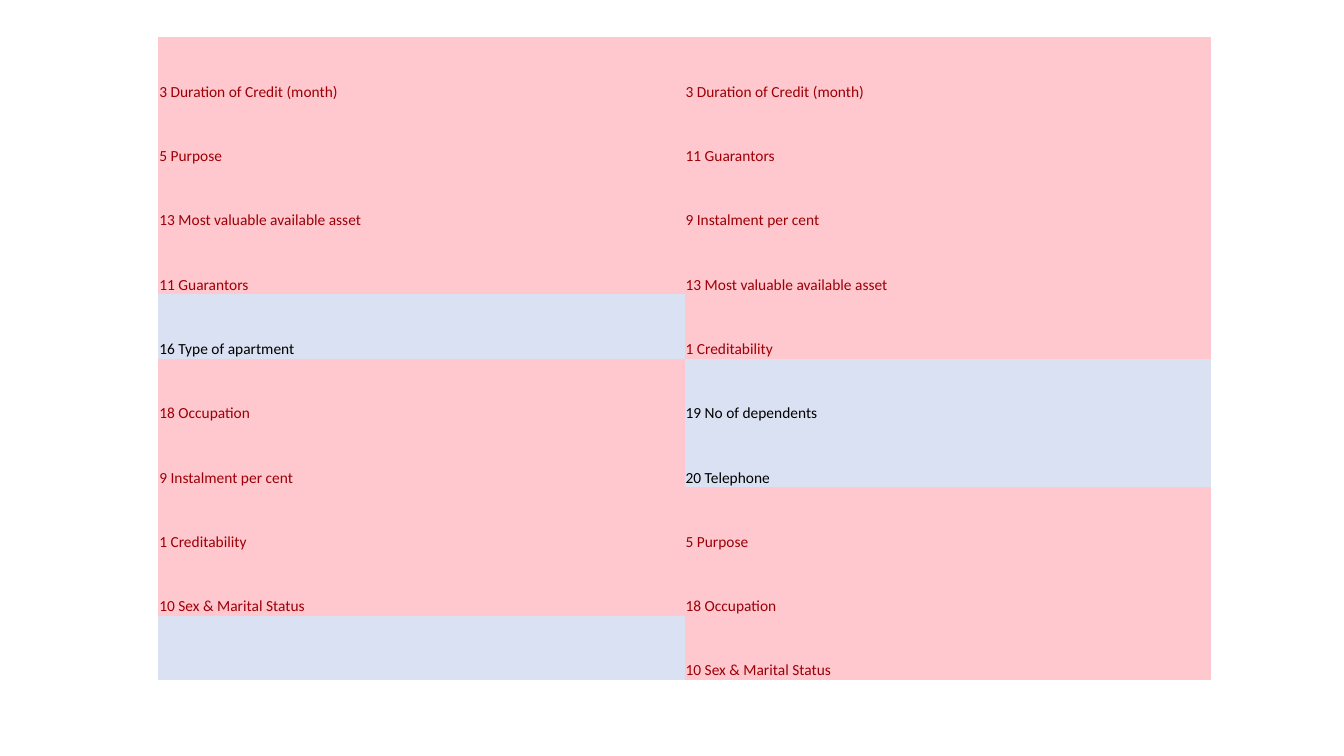
from pptx import Presentation
from pptx.dml.color import RGBColor
from pptx.enum.text import MSO_ANCHOR
from pptx.oxml.ns import qn
from pptx.util import Inches, Pt

LEFT_RANKING = [
    "3 Duration of Credit (month)",
    "5 Purpose",
    "13 Most valuable available asset",
    "11 Guarantors",
    "16 Type of apartment",
    "18 Occupation",
    "9 Instalment per cent",
    "1 Creditability",
    "10 Sex & Marital Status",
    "",
]
RIGHT_RANKING = [
    "3 Duration of Credit (month)",
    "11 Guarantors",
    "9 Instalment per cent",
    "13 Most valuable available asset",
    "1 Creditability",
    "19 No of dependents",
    "20 Telephone",
    "5 Purpose",
    "18 Occupation",
    "10 Sex & Marital Status",
]
SHARED_FEATURES = set(LEFT_RANKING) & set(RIGHT_RANKING)

SHARED_FILL = RGBColor(0xFF, 0xC7, 0xCE)
SHARED_TEXT = RGBColor(0x9C, 0x00, 0x06)
UNIQUE_FILL = RGBColor(0xD9, 0xE1, 0xF2)
UNIQUE_TEXT = RGBColor(0x00, 0x00, 0x00)
PLAIN_STYLE = "{2D5ABB26-0587-4C30-8999-92F81FD0307C}"


def fill_cell(cell, feature):
    shared = feature in SHARED_FEATURES
    cell.fill.solid()
    cell.fill.fore_color.rgb = SHARED_FILL if shared else UNIQUE_FILL
    cell.vertical_anchor = MSO_ANCHOR.BOTTOM
    cell.margin_left = cell.margin_right = cell.margin_top = Inches(0.01)
    cell.margin_bottom = 0
    cell.text_frame.text = feature
    for run in cell.text_frame.paragraphs[0].runs:
        run.font.name = "Calibri"
        run.font.size = Pt(11)
        run.font.color.rgb = SHARED_TEXT if shared else UNIQUE_TEXT


def main():
    deck = Presentation()
    deck.slide_width, deck.slide_height = Inches(13.33), Inches(7.5)
    slide = deck.slides.add_slide(deck.slide_layouts[6])

    rankings = list(zip(LEFT_RANKING, RIGHT_RANKING))
    frame = slide.shapes.add_table(
        len(rankings), 2, Inches(1.57), Inches(0.37), Inches(10.44), Inches(6.38)
    )
    comparison = frame.table
    comparison.first_row = comparison.horz_banding = False
    style_id = comparison._tbl.tblPr.find(qn("a:tableStyleId"))
    style_id.text = PLAIN_STYLE

    for row, features in enumerate(rankings):
        for column, feature in enumerate(features):
            fill_cell(comparison.cell(row, column), feature)

    deck.save("out.pptx")


if __name__ == "__main__":
    main()
